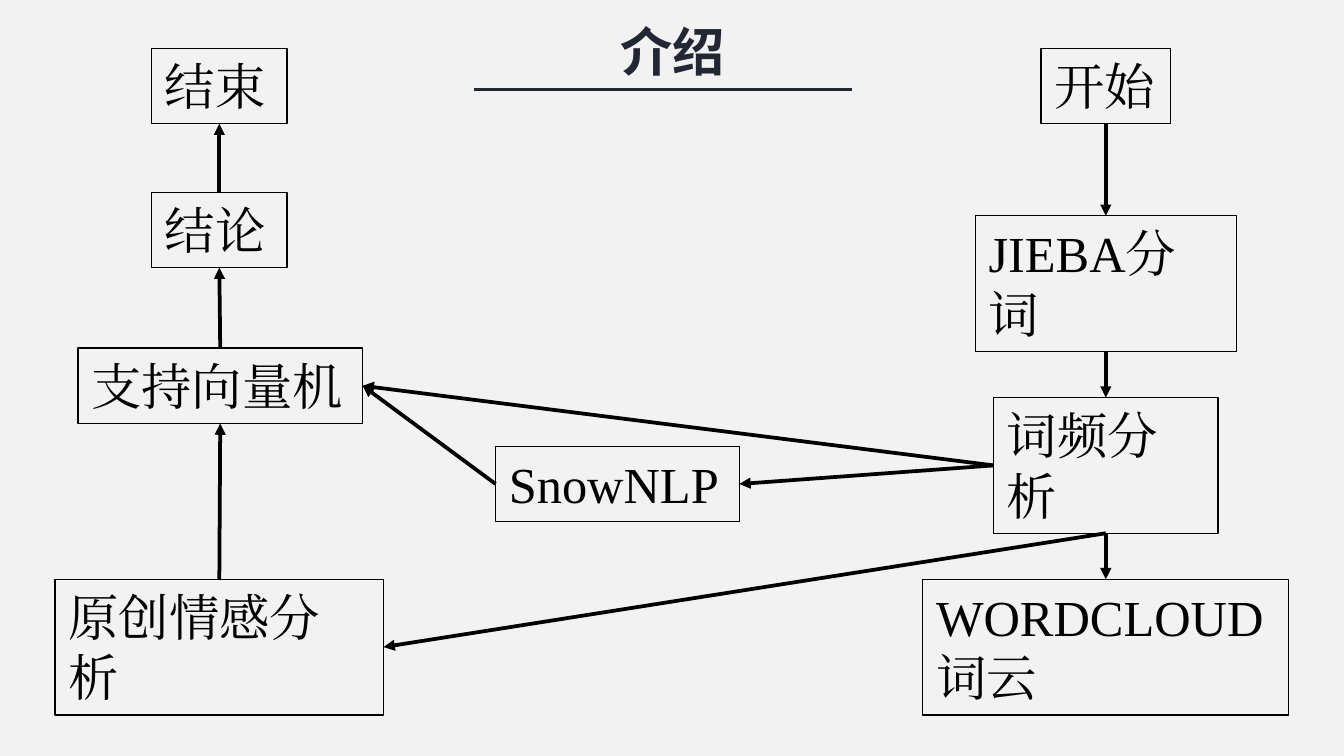
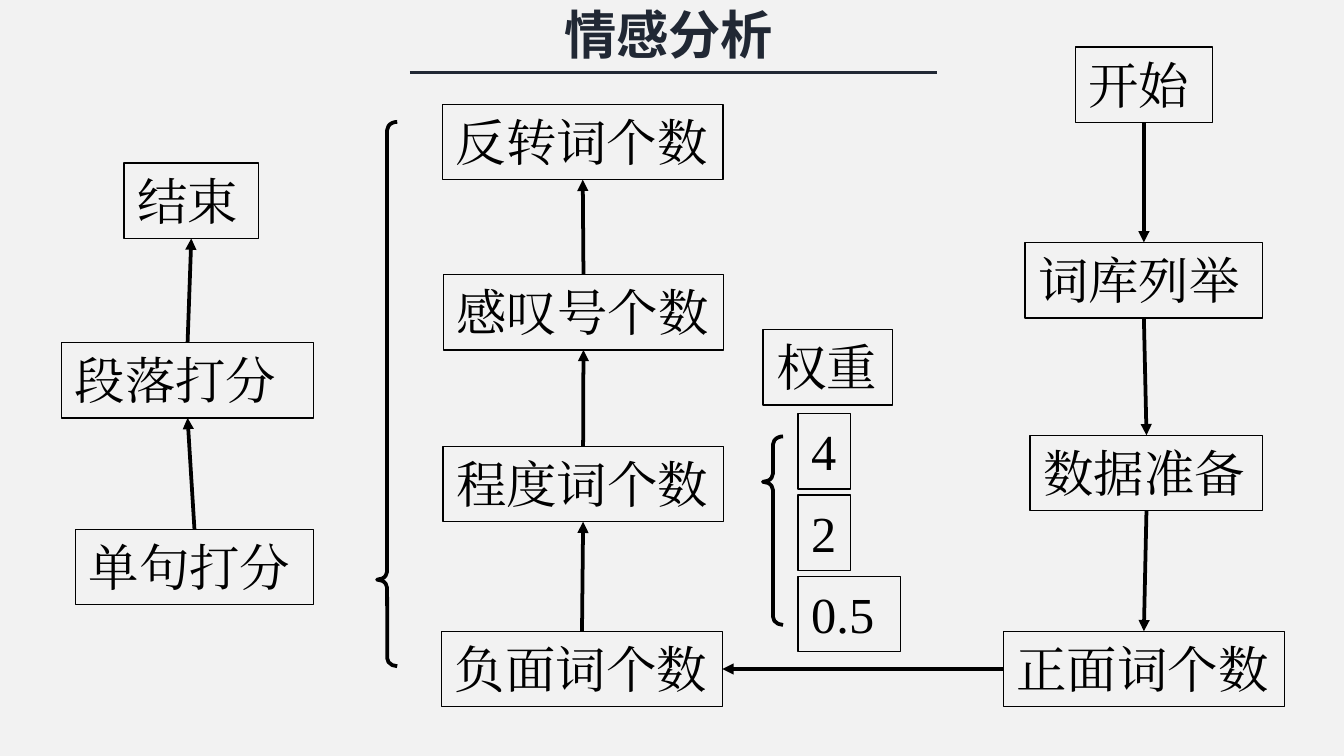
from collections import namedtuple

from lxml import etree
from pptx import Presentation
from pptx.dml.color import RGBColor
from pptx.enum.shapes import MSO_CONNECTOR, MSO_SHAPE
from pptx.enum.text import MSO_ANCHOR, MSO_AUTO_SIZE, PP_ALIGN
from pptx.oxml.ns import qn
from pptx.util import Pt

RECTANGLE, LEFT_BRACE = MSO_SHAPE.RECTANGLE, MSO_SHAPE.LEFT_BRACE
STRAIGHT = MSO_CONNECTOR.STRAIGHT
TOP_ANCHOR = MSO_ANCHOR.TOP
GROW = MSO_AUTO_SIZE.SHAPE_TO_FIT_TEXT
ALIGN_LEFT, ALIGN_CENTER = PP_ALIGN.LEFT, PP_ALIGN.CENTER
TOP, LEFT, BOTTOM, RIGHT = range(4)

COLORS = {"background": "F2F2F2", "ink": "000000", "title": "212834"}
BODY_FONT, TITLE_FONT = "Times New Roman", "Noto Sans CJK SC"
ONE_LINE, TWO_LINES = 40.4, 72.7
BOX_LINE, FLOW_LINE, TITLE_LINE = 0.75, 2, 1.5

Step = namedtuple("Step", "text width offset height shift", defaults=(ONE_LINE, 0))


def color(name):
    """Return the named palette colour."""
    return RGBColor.from_string(COLORS[name])


def write_text(shape, text, font=BODY_FONT, size=27, ink="ink", bold=False,
               align=ALIGN_LEFT, wrap=True):
    """Put one formatted paragraph into a shape."""
    frame = shape.text_frame
    frame.word_wrap = wrap
    frame.auto_size = GROW
    frame.vertical_anchor = TOP_ANCHOR
    paragraph = frame.paragraphs[0]
    paragraph.alignment = align
    run = paragraph.add_run()
    run.text = text
    run.font.name = font
    run.font.size = Pt(size)
    run.font.bold = bold
    run.font.color.rgb = color(ink)
    east_asian = etree.SubElement(run.font._element, qn("a:ea"))
    east_asian.set("typeface", font)


def add_outline(slide, kind, left, top, width, height, weight):
    """Add an unfilled preset shape with a plain outline."""
    shape = slide.shapes.add_shape(kind, Pt(left), Pt(top), Pt(width), Pt(height))
    shape.shadow.inherit = False
    shape.fill.background()
    shape.line.color.rgb = color("ink")
    shape.line.width = Pt(weight)
    return shape


def add_box(slide, text, left, top, width, height=ONE_LINE):
    """Add an outlined text box of the flow chart."""
    shape = add_outline(slide, RECTANGLE, left, top, width, height, BOX_LINE)
    write_text(shape, text)
    return shape


def add_brace(slide, left, top, height, adjustments):
    """Add a left brace with its curl and point position."""
    shape = add_outline(slide, LEFT_BRACE, left, top, 10.8, height, FLOW_LINE)
    for index, value in enumerate(adjustments):
        shape.adjustments[index] = value


def add_line(slide, left, top, width, weight, ink):
    """Add a horizontal line without a shadow."""
    line = slide.shapes.add_connector(STRAIGHT, Pt(left), Pt(top), Pt(left + width), Pt(top))
    line.line.color.rgb = color(ink)
    line.line.width = Pt(weight)
    etree.SubElement(line._element.spPr, qn("a:effectLst"))
    return line


def add_arrow(slide, source, source_side, target, target_side):
    """Join two boxes with an arrow."""
    arrow = add_line(slide, 0, 0, 0, FLOW_LINE, "ink")
    arrow.begin_connect(source, source_side)
    arrow.end_connect(target, target_side)
    head = etree.SubElement(arrow.line._get_or_add_ln(), qn("a:tailEnd"))
    head.set("type", "triangle")


def add_title(slide, text, left, top, width, text_width, shift):
    """Add the slide title and the line beneath it."""
    text_left = left + (width - text_width) / 2 + shift
    title = slide.shapes.add_textbox(Pt(text_left), Pt(top), Pt(text_width), Pt(41))
    write_text(title, text, font=TITLE_FONT, size=28, ink="title", bold=True,
               align=ALIGN_CENTER, wrap=False)
    add_line(slide, left, top + 41, width, TITLE_LINE, "title")


def add_column(slide, left, top, width, steps, upward=False):
    """Stack centred steps in a column and chain them with arrows."""
    boxes = [
        add_box(slide, step.text, left + (width - step.width) / 2 + step.shift,
                top + step.offset, step.width, step.height)
        for step in steps
    ]
    for upper, lower in zip(boxes, boxes[1:]):
        if upward:
            add_arrow(slide, lower, TOP, upper, BOTTOM)
        else:
            add_arrow(slide, upper, BOTTOM, lower, TOP)
    return boxes


def add_weights(slide, left, top):
    """Add the weight label, its brace and the list of values."""
    add_box(slide, "权重", left, top, 69.5)
    add_brace(slide, left, top + 57.3, 101, (0.404, 0.241))
    for index, (value, width) in enumerate((("4", 28.2), ("2", 28.2), ("0.5", 54.8))):
        add_box(slide, value, left + 18.8, top + 45.1 + 43.6 * index, width)


def add_blank_slide(presentation):
    """Add a blank slide with the shared background."""
    slide = presentation.slides.add_slide(presentation.slide_layouts[6])
    slide.background.fill.solid()
    slide.background.fill.fore_color.rgb = color("background")
    return slide


def build_introduction(presentation):
    """Build the overview of the whole workflow."""
    slide = add_blank_slide(presentation)
    start, segmentation, frequency, cloud = add_column(slide, 494.4, 25.9, 196, (
        Step("开始", 69.5, 0),
        Step("JIEBA分词", 139.8, 89.7, TWO_LINES),
        Step("词频分析", 120.2, 187.1, TWO_LINES),
        Step("WORDCLOUD词云", 196, 284.4, TWO_LINES),
    ))
    end, conclusion, vector_machine, sentiment = add_column(slide, 29.5, 25.9, 176, (
        Step("结束", 72.5, 0),
        Step("结论", 72.5, 77.1),
        Step("支持向量机", 152.6, 160.6, shift=0.5),
        Step("原创情感分析", 176, 284.4, TWO_LINES),
    ), upward=True)
    snow = add_box(slide, "SnowNLP", 265.5, 239.1, 130.6)
    add_arrow(slide, frequency, LEFT, snow, RIGHT)
    add_arrow(slide, frequency, BOTTOM, sentiment, RIGHT)
    add_arrow(slide, snow, LEFT, vector_machine, RIGHT)
    add_arrow(slide, frequency, LEFT, vector_machine, RIGHT)
    add_title(slide, "介绍", 254, 7, 202.4, 71.3, 5)


def build_sentiment_analysis(presentation):
    """Build the flow of the sentiment analysis."""
    slide = add_blank_slide(presentation)
    start, lexicon, data, positive = add_column(slide, 537.5, 25.2, 150.6, (
        Step("开始", 73.5, 0),
        Step("词库列举", 127.4, 104.7),
        Step("数据准备", 124.6, 208, shift=1.4),
        Step("正面词个数", 150.6, 313),
    ))
    inversion, exclamation, degree, negative = add_column(slide, 237, 55.9, 150.4, (
        Step("反转词个数", 150.2, 0),
        Step("感叹号个数", 150.2, 91.2, shift=0.4),
        Step("程度词个数", 150.2, 183.2, shift=0.2),
        Step("负面词个数", 150.4, 282.3, shift=-0.4),
    ), upward=True)
    add_column(slide, 33, 87.4, 139, (
        Step("结束", 72, 0),
        Step("段落打分", 135, 96.1, shift=-2),
        Step("单句打分", 127.6, 196.2, shift=1.7),
    ), upward=True)
    add_arrow(slide, positive, LEFT, negative, RIGHT)
    add_brace(slide, 202, 65.3, 291.6, (0.404, 0.841))
    add_weights(slide, 408.7, 176.5)
    add_title(slide, "情感分析", 219.6, -2.2, 282.2, 127.4, -2.5)


def main():
    """Build and save the presentation."""
    presentation = Presentation()
    presentation.slide_width = Pt(720)
    presentation.slide_height = Pt(405)
    build_introduction(presentation)
    build_sentiment_analysis(presentation)
    presentation.save("out.pptx")


if __name__ == "__main__":
    main()
